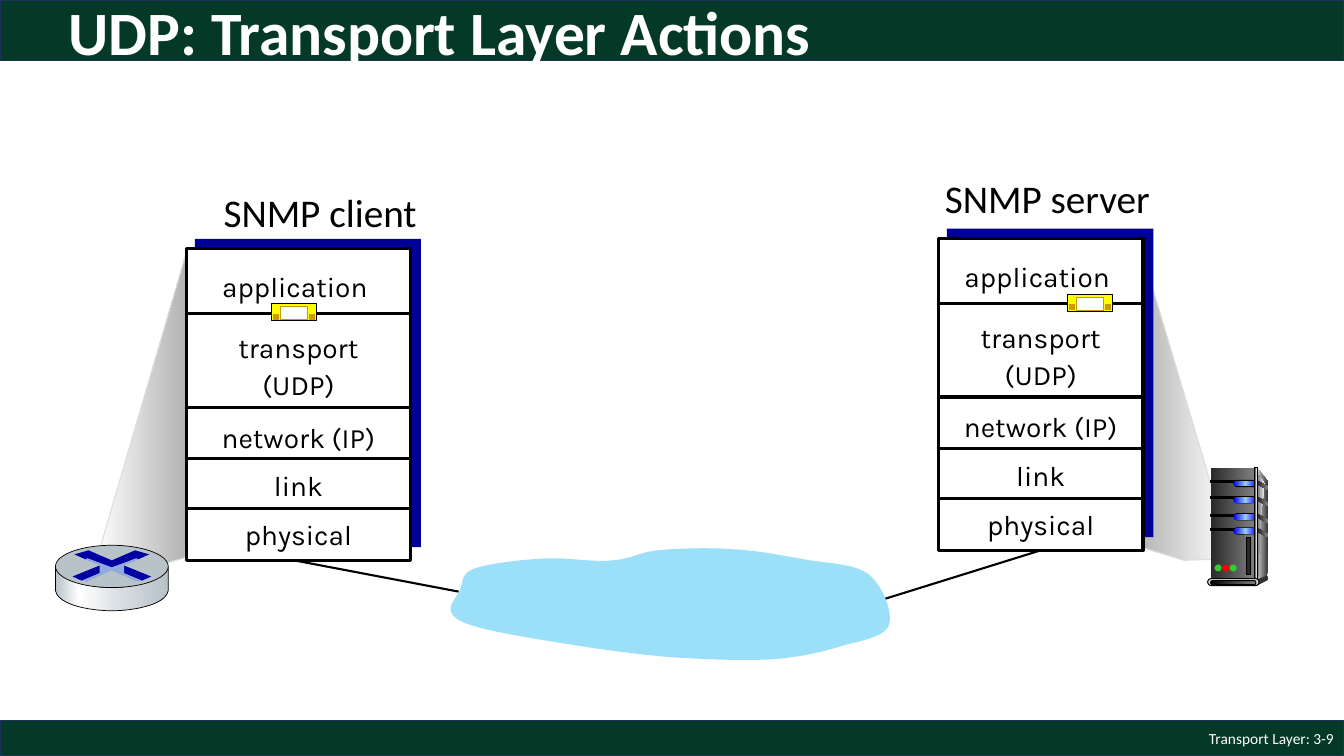
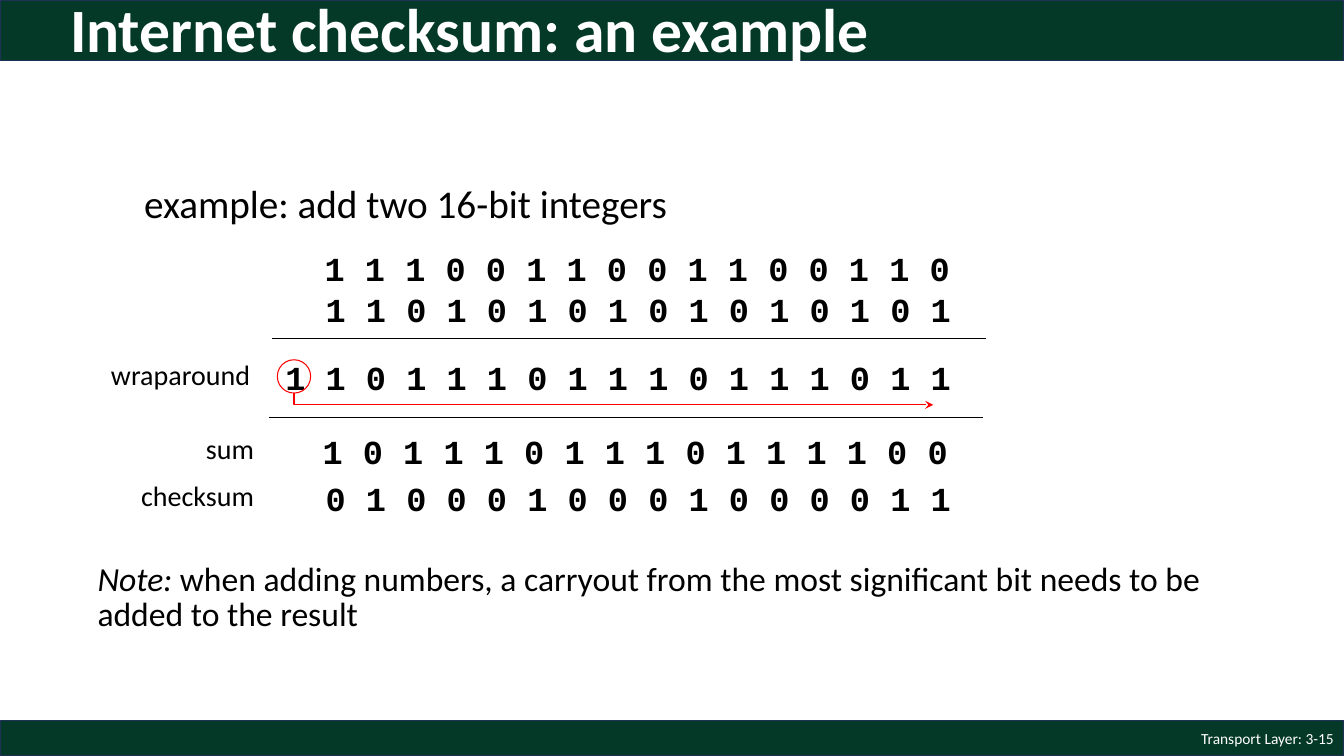
"""Build two transport layer slides: UDP actions and the Internet checksum."""
from dataclasses import dataclass, field
from typing import Any, Iterable, Optional, Sequence

from lxml import etree
from pptx import Presentation
from pptx.dml.color import RGBColor
from pptx.enum.shapes import MSO_CONNECTOR, MSO_SHAPE
from pptx.enum.text import MSO_ANCHOR, MSO_AUTO_SIZE, PP_ALIGN
from pptx.oxml.ns import qn
from pptx.util import Pt

RECTANGLE, ELLIPSE, ROUNDED = MSO_SHAPE.RECTANGLE, MSO_SHAPE.OVAL, MSO_SHAPE.ROUNDED_RECTANGLE
STRAIGHT = MSO_CONNECTOR.STRAIGHT
LEFT, CENTER, RIGHT = PP_ALIGN.LEFT, PP_ALIGN.CENTER, PP_ALIGN.RIGHT
MIDDLE, TOP = MSO_ANCHOR.MIDDLE, MSO_ANCHOR.TOP
NO_FIT = MSO_AUTO_SIZE.NONE
BOTTOM_SIDE = 2
TITLE_AND_BODY, TITLE_ONLY = 1, 5
SLIDE_WIDTH, SLIDE_HEIGHT = 960, 540
HEADER_HEIGHT, FOOTER_HEIGHT = 43.2, 25.2
FOOTER_TOP = SLIDE_HEIGHT - FOOTER_HEIGHT
FOOTER_WIDTH = 216

COLORS = {
    "band": "043927", "band_edge": "1E3256", "white": "FFFFFF", "black": "000000",
    "depth": "000099", "cloud": "9CDFF9", "cone_edge": "DDDDDD", "packet": "FFFF00",
    "packet_edge": "CC9900", "router_top": "B8C2C9", "router_arrow": "0000A3",
    "router_cross": "8FAADC", "foot": "333333", "base": "DDDDDD", "handle": "292929",
    "green": "33CC33", "red": "FF0000",
}
GRADIENTS = {
    "cone_left": ((0, "FFFFFF"), (100, "B2B2B2")),
    "cone_right": ((0, "B2B2B2"), (100, "FFFFFF")),
    "side": ((0, "DDDDDD"), (100, "333333")),
    "front": ((0, "292929"), (100, "808080")),
    "shine": ((0, "808080"), (100, "F8F8F8")),
    "drive": ((0, "0000FF"), (50, "99CCFF"), (100, "0000FF")),
    "edge": ((0, "333333"), (50, "DDDDDD"), (100, "333333")),
    "base_slot": ((0, "000000"), (100, "808080")),
    "router_side": ((0, "B8C2C9"), (21, "FFFFFF"), (60, "D6DCE0"), (100, "B8C2C9")),
}

Point = tuple[float, ...]


@dataclass(frozen=True)
class Style:
    font: dict[str, Any]
    paragraph: dict[str, Any] = field(default_factory=dict)
    frame: dict[str, Any] = field(default_factory=dict)
    color: str = "black"


@dataclass(frozen=True)
class Block:
    left: float
    top: float
    width: float
    height: float
    fill: Optional[str] = None
    line: Optional[str] = None
    weight: float = 0.75
    kind: Any = RECTANGLE


@dataclass(frozen=True)
class Outline:
    points: Sequence[Point]
    fill: Optional[str] = None
    line: Optional[str] = None
    weight: float = 0.75
    closed: bool = True


@dataclass(frozen=True)
class Host:
    left: float
    top: float
    width: float


@dataclass(frozen=True)
class Layer:
    name: str
    height: float
    text_gap: float
    shift: float = 0


@dataclass(frozen=True)
class BitRow:
    bits: str
    top: float
    right: float = 686.2
    label: str = ""
    label_right: float = 188.6


def calibri(size: float, **font: Any) -> dict[str, Any]:
    return {"name": "Calibri", "size": Pt(size)} | font


TITLE = Style(calibri(44, bold=True), {"alignment": LEFT, "line_spacing": 0.9},
              {"vertical_anchor": MIDDLE}, "white")
FOOTER = Style(calibri(11), {"alignment": RIGHT}, {"vertical_anchor": MIDDLE}, "white")
HEADING = Style(calibri(28))
BODY = Style(calibri(28), {"line_spacing": 1.3, "space_before": Pt(10)}, {"vertical_anchor": TOP})
LAYER = Style({"name": "Karla", "size": Pt(20)}, {"alignment": CENTER, "line_spacing": 1.1})
ROW_LABEL = Style(calibri(20), {"alignment": RIGHT})
BITS = Style({"name": "Courier New", "size": Pt(24), "bold": True}, {"alignment": RIGHT})
NOTE_LEAD = Style(calibri(24, italic=True), {"line_spacing": 0.85, "space_before": Pt(4.8)})
NOTE = Style(calibri(24))


def mirrored(half: Sequence[Point]) -> tuple[Point, ...]:
    return tuple((-x, y) for x, y in half)


def symmetric(half: Sequence[Point]) -> tuple[Point, ...]:
    return tuple(half) + mirrored(half[1:-1])[::-1]


BANDS = (Block(0, 0, SLIDE_WIDTH, HEADER_HEIGHT, "band", "band_edge", 1),
         Block(0, FOOTER_TOP, SLIDE_WIDTH, FOOTER_HEIGHT, "band", "band_edge", 1))
CLIENT, SERVER = Host(133.2, 177.8, 160), Host(670.3, 170.6, 146.2)
LAYERS = (Layer("application", 46, 9.1, -2.5), Layer("transport\n(UDP)", 67, 6.5),
          Layer("network (IP)", 37, 3.3), Layer("link", 35.6, 1.2), Layer("physical", 36.9, 0.5))
STACK_HEIGHT = sum(layer.height for layer in LAYERS)
CLIENT_CONE = Outline(((67, 406.8), (133.9, 177.8), (132.5, 398.2), (101.5, 407.5)),
                      "cone_left", "cone_edge")
SERVER_CONE = Outline(((880.6, 398.9), (812.9, 170.6), (810.7, 389.5), (846, 400.3)),
                      "cone_right", "cone_edge")
CLOUD = Outline((
    (470, 393.1), (455.8, 394.6, 450.7, 399.6, 437, 400.3), (423.4, 401.8, 406.1, 398.2, 390.2, 398.9),
    (373.7, 399.6, 349.2, 402.5, 339.1, 406.1), (328.3, 409.7, 331.2, 416.9, 328.3, 421.9),
    (325.4, 427.7, 319.7, 433.4, 322.6, 437.8), (324.7, 442.1, 329.8, 445, 343.4, 448.6),
    (357.1, 452.2, 383, 456.5, 405.4, 460.1), (427.7, 463.7, 453.6, 467.3, 478.1, 469.4),
    (502.6, 470.9, 530.6, 472.3, 552.2, 470.9), (573.1, 469.4, 589.7, 465.1, 603.4, 460.8),
    (617.8, 457.2, 632.2, 454.3, 635, 446.4), (637.9, 437.8, 630.7, 418.3, 620.6, 410.4),
    (610.6, 402.5, 590.4, 402.5, 574.6, 399.6), (558, 396.7, 540.7, 393.1, 523.4, 392.4),
    (506.2, 391, 484.6, 391.7, 470, 393.1)), "cloud")

ROUTER_TOP_CENTER = (79.9, 389.5)
ROUTER_ARM = ((8.7, 14.4), (28.1, 22.3), (21.6, 25.2), (7.9, 19.5))
ROUTER = (
    Outline(((40.3, 15.9), (40.3, 32.4), (38.2, 43.2, 13.7, 46.8, 0, 46.8),
             (-13.7, 46.8, -38.2, 43.2, -40.3, 32.4), (-40.3, 15.9),
             (-36.7, 25.2, -13.7, 30.3, 0, 30.3), (13.7, 30.3, 36.7, 25.2, 40.3, 15.9)),
            "router_side", "black", 0.5),
    Block(-40.3, 0, 80.6, 30.2, "router_top", "black", 0.5, ELLIPSE),
    Outline(symmetric(((0, 15.9), (17.3, 9.4), (18.7, 10.1), (26.7, 6.5), (16.6, 3.6), (0, 10.8))),
            "router_arrow"),
    Outline(ROUTER_ARM, "router_arrow"),
    Outline(mirrored(ROUTER_ARM), "router_arrow"),
    Outline(symmetric(((0, 15.9), (17.3, 9.4), (19.5, 10.1), (8.7, 14.4), (8.7, 20.2),
                       (20.9, 25.2), (18, 25.9), (0, 18))), "router_cross"),
)


def drive(top: float) -> tuple[Block | Outline, ...]:
    return (Outline(((33.9, top), (40.8, top + 4), (40.8, top + 6.5), (33.9, top + 2.9)), "front"),
            Block(0.3, top, 18, 1.4, "black", "black"),
            Block(16.3, top - 0.7, 17.5, 5.2, "black", kind=ROUNDED),
            Block(16.6, top, 16.8, 4, "drive", kind=ROUNDED))


TOWER_CORNER = (864.7, 334.1)
TOWER = (
    Outline(((33.9, 0.7), (41.1, 10.1), (40.3, 77), (32.4, 80.6)), "side"),
    Block(0, 0, 31.7, 80.6, "front"),
    Outline(((33.9, 5), (33.9, 5, 35.3, 5.7, 38.9, 11.5), (33.9, 41, 34.6, 79.9, 33.9, 78.5)), "shine"),
    *(part for top in (9.3, 20.9, 33.1, 43.2) for part in drive(top)),
    Block(31.7, 0, 2.2, 80.6, "edge", "black"),
    Block(39.6, 77, 1.4, 3.6, "foot", kind=ELLIPSE),
    Outline(((33.1, 79.9), (33.1, 84.2), (40.3, 80.6), (40.3, 77)), "foot"),
    Block(-2.1, 79.2, 36.7, 5, "base", "black", kind=ROUNDED),
    Block(0, 80.6, 32.4, 2.9, "base_slot", "black", kind=ROUNDED),
    *(Block(2.9 + 5.4 * index, 69.1, 5, 5, color, kind=ELLIPSE)
      for index, color in enumerate(("green", "red", "green"))),
    Block(25.9, 49.7, 2.9, 26.6, "handle", "black"),
)
PACKET_CORNERS = ((193.7, 216.7), (762.5, 210.2))
PACKET = (Block(0, 0, 32.4, 12.2, "packet", "black"),
          Block(6.5, 2.2, 19.4, 9.4, "white", "packet_edge"),
          *(Block(left, 7.6, 3.6, 3.6, "packet_edge", "packet_edge") for left in (1.4, 27.4)))

WORD_BITS = 16
WORD_MASK = 2 ** WORD_BITS - 1
FIRST, SECOND = 0b1110011001100110, 0b1101010101010101
TOTAL = FIRST + SECOND
WRAPPED = (TOTAL & WORD_MASK) + (TOTAL >> WORD_BITS)
CHECKSUM = WRAPPED ^ WORD_MASK


def spaced_bits(number: int) -> str:
    return " ".join(f"{number:0{WORD_BITS}b}")


BIT_ROWS = (
    BitRow(spaced_bits(FIRST), 173.5, 685.5),
    BitRow(spaced_bits(SECOND), 203),
    BitRow(spaced_bits(TOTAL), 251.3, label="wraparound", label_right=185.8),
    BitRow(spaced_bits(WRAPPED), 304.6, 684, "sum"),
    BitRow(spaced_bits(CHECKSUM), 337.7, label="checksum"),
)
BITS_WIDTH, LABEL_WIDTH = 520, 140
RULE_STARTS, RULE_LENGTH = ((194.4, 241.9), (192.2, 298.1)), 509.8
CARRY_X, CARRY_TOP, CARRY_SIZE = 210, 257, 23.8
CARRY_BOTTOM, CARRY_ARROW_Y, CARRY_END = CARRY_TOP + CARRY_SIZE, 289.2, 666.7


def rgb(name: str) -> RGBColor:
    return RGBColor.from_string(COLORS[name])


def apply(target: Any, values: dict[str, Any]) -> None:
    for name, value in values.items():
        setattr(target, name, value)


def place(shape: Any, left: float, top: float, width: float, height: float) -> None:
    apply(shape, {"left": Pt(left), "top": Pt(top), "width": Pt(width), "height": Pt(height)})


def add_run(paragraph: Any, content: str, style: Style) -> None:
    run = paragraph.add_run()
    run.text = content
    apply(run.font, style.font)
    run.font.color.rgb = rgb(style.color)


def write(frame: Any, content: str, style: Style) -> None:
    apply(frame, {"word_wrap": True, "auto_size": NO_FIT} | style.frame)
    for index, line in enumerate(content.split("\n")):
        paragraph = frame.add_paragraph() if index else frame.paragraphs[0]
        apply(paragraph, style.paragraph)
        add_run(paragraph, line, style)


def add_text(slide: Any, content: str, style: Style, left: float, top: float,
             width: float, height: float) -> Any:
    box = slide.shapes.add_textbox(Pt(left), Pt(top), Pt(width), Pt(height))
    write(box.text_frame, content, style)
    return box


def set_gradient(shape: Any, colors: Iterable[tuple[int, str]]) -> None:
    shape.fill.gradient()
    shape.fill.gradient_angle = 0
    stops = shape.element.find(".//" + qn("a:gsLst"))
    for stop in list(stops):
        stops.remove(stop)
    for percent, color in colors:
        stop = etree.SubElement(stops, qn("a:gs"), pos=str(percent * 1000))
        etree.SubElement(stop, qn("a:srgbClr"), val=color)


def paint(shape: Any, item: Block | Outline) -> None:
    shape.shadow.inherit = False
    if item.fill in GRADIENTS:
        set_gradient(shape, GRADIENTS[item.fill])
    elif item.fill:
        shape.fill.solid()
        shape.fill.fore_color.rgb = rgb(item.fill)
    else:
        shape.fill.background()
    if item.line:
        shape.line.color.rgb = rgb(item.line)
        shape.line.width = Pt(item.weight)
    else:
        shape.line.fill.background()


def flatten(points: Sequence[Point], steps: int = 12) -> list[Point]:
    vertices = [points[0]]
    for point in points[1:]:
        if len(point) == 2:
            vertices.append(point)
            continue
        controls = (vertices[-1], point[:2], point[2:4], point[4:])
        for t in (step / steps for step in range(1, steps + 1)):
            weights = ((1 - t) ** 3, 3 * t * (1 - t) ** 2, 3 * t * t * (1 - t), t ** 3)
            vertices.append(tuple(sum(w * c[axis] for w, c in zip(weights, controls)) for axis in (0, 1)))
    return vertices


def draw(slide: Any, item: Block | Outline, origin: Point = (0, 0)) -> Any:
    left, top = origin
    if isinstance(item, Outline):
        vertices = [(Pt(left + x), Pt(top + y)) for x, y in flatten(item.points)]
        builder = slide.shapes.build_freeform(*vertices[0], scale=1.0)
        builder.add_line_segments(vertices[1:], close=item.closed)
        shape = builder.convert_to_shape()
    else:
        shape = slide.shapes.add_shape(item.kind, Pt(left + item.left), Pt(top + item.top),
                                       Pt(item.width), Pt(item.height))
        if item.kind == ROUNDED:
            shape.adjustments[0] = 0.5
    paint(shape, item)
    return shape


def draw_all(slide: Any, items: Iterable[Block | Outline], origin: Point = (0, 0)) -> None:
    for item in items:
        draw(slide, item, origin)


def add_line(slide: Any, start: Point, end: Point, weight: float) -> Any:
    connector = slide.shapes.add_connector(STRAIGHT, *(Pt(value) for value in start + end))
    connector.line.color.rgb = rgb("black")
    connector.line.width = Pt(weight)
    etree.SubElement(connector.element.spPr, qn("a:effectLst"))
    return connector


def add_stack(slide: Any, host: Host) -> Any:
    draw(slide, Block(host.left + 6, host.top - 7.2, host.width + 1.4, 220.3, "depth"))
    box = draw(slide, Block(host.left, host.top, host.width, STACK_HEIGHT, "white", "black", 2.25))
    top = host.top
    for layer in LAYERS:
        if top > host.top:
            add_line(slide, (host.left + 1, top), (host.left + host.width, top), 2.25)
        add_text(slide, layer.name, LAYER, host.left + layer.shift, top + layer.text_gap, host.width, 32)
        top += layer.height
    return box


def start_slide(presentation: Any, layout: int, title: str, corner: Point, number: str) -> Any:
    slide = presentation.slides.add_slide(presentation.slide_layouts[layout])
    place(slide.shapes.title, *corner, 874, 70.6)
    write(slide.shapes.title.text_frame, title, TITLE)
    add_text(slide, f"Transport Layer: {number}", FOOTER, SLIDE_WIDTH - FOOTER_WIDTH, FOOTER_TOP,
             FOOTER_WIDTH, FOOTER_HEIGHT)
    return slide


def move_bands_to_master(presentation: Any, slide: Any) -> None:
    for index, band in enumerate(BANDS):
        presentation.slide_master.shapes.element.insert(2 + index, draw(slide, band).element)


def build_actions(presentation: Any) -> None:
    slide = start_slide(presentation, TITLE_ONLY, "UDP: Transport Layer Actions", (41.8, -10), "3-9")
    move_bands_to_master(presentation, slide)
    draw(slide, SERVER_CONE)
    draw_all(slide, TOWER, TOWER_CORNER)
    for name, left, top in (("SNMP server", 667.8, 121), ("SNMP client", 152.6, 131)):
        add_text(slide, name, HEADING, left, top, 175, 41)
    server_box = add_stack(slide, SERVER)
    server_link = add_line(slide, (743.4, 393.1), (627.8, 429.1), 1.5)
    server_link.begin_connect(server_box, BOTTOM_SIDE)
    add_line(slide, (203, 398.9), (327.6, 422.6), 1.5)
    draw_all(slide, (CLOUD, CLIENT_CONE))
    add_stack(slide, CLIENT)
    draw_all(slide, ROUTER, ROUTER_TOP_CENTER)
    for corner in PACKET_CORNERS:
        draw_all(slide, PACKET, corner)


def add_example(slide: Any) -> None:
    body = slide.placeholders[1]
    place(body, 95.8, 114.5, 612, 216)
    write(body.text_frame, "example: add two 16-bit integers", BODY)
    properties = body.element.find(".//" + qn("a:pPr"))
    for name in ("marL", "indent"):
        properties.set(name, "0")
    etree.SubElement(properties, qn("a:buNone"))


def add_carry(slide: Any) -> None:
    draw(slide, Block(CARRY_X - CARRY_SIZE / 2, CARRY_TOP, CARRY_SIZE, CARRY_SIZE, line="red", kind=ELLIPSE))
    bend = ((CARRY_X, CARRY_BOTTOM), (CARRY_X, CARRY_ARROW_Y), (CARRY_END, CARRY_ARROW_Y))
    arrow = draw(slide, Outline(bend, line="red", closed=False))
    etree.SubElement(arrow.element.find(".//" + qn("a:ln")), qn("a:tailEnd"), type="stealth")


def build_checksum(presentation: Any) -> None:
    slide = start_slide(presentation, TITLE_AND_BODY, "Internet checksum: an example", (42.8, -12.2), "3-15")
    add_example(slide)
    for left, top in RULE_STARTS:
        add_line(slide, (left, top), (left + RULE_LENGTH, top), 1)
    for row in BIT_ROWS:
        add_text(slide, row.bits, BITS, row.right - BITS_WIDTH, row.top, BITS_WIDTH, 36)
        if row.label:
            add_text(slide, row.label, ROW_LABEL, row.label_right - LABEL_WIDTH, row.top + 0.3, LABEL_WIDTH, 32)
    add_carry(slide)
    note = add_text(slide, "Note:", NOTE_LEAD, 62.6, 399.6, 816.5, 85)
    add_run(note.text_frame.paragraphs[0], " when adding numbers, a carryout from the most significant bit "
            "needs to be added to the result", NOTE)


def main() -> None:
    presentation = Presentation()
    apply(presentation, {"slide_width": Pt(SLIDE_WIDTH), "slide_height": Pt(SLIDE_HEIGHT)})
    build_actions(presentation)
    build_checksum(presentation)
    presentation.save("out.pptx")


if __name__ == "__main__":
    main()
